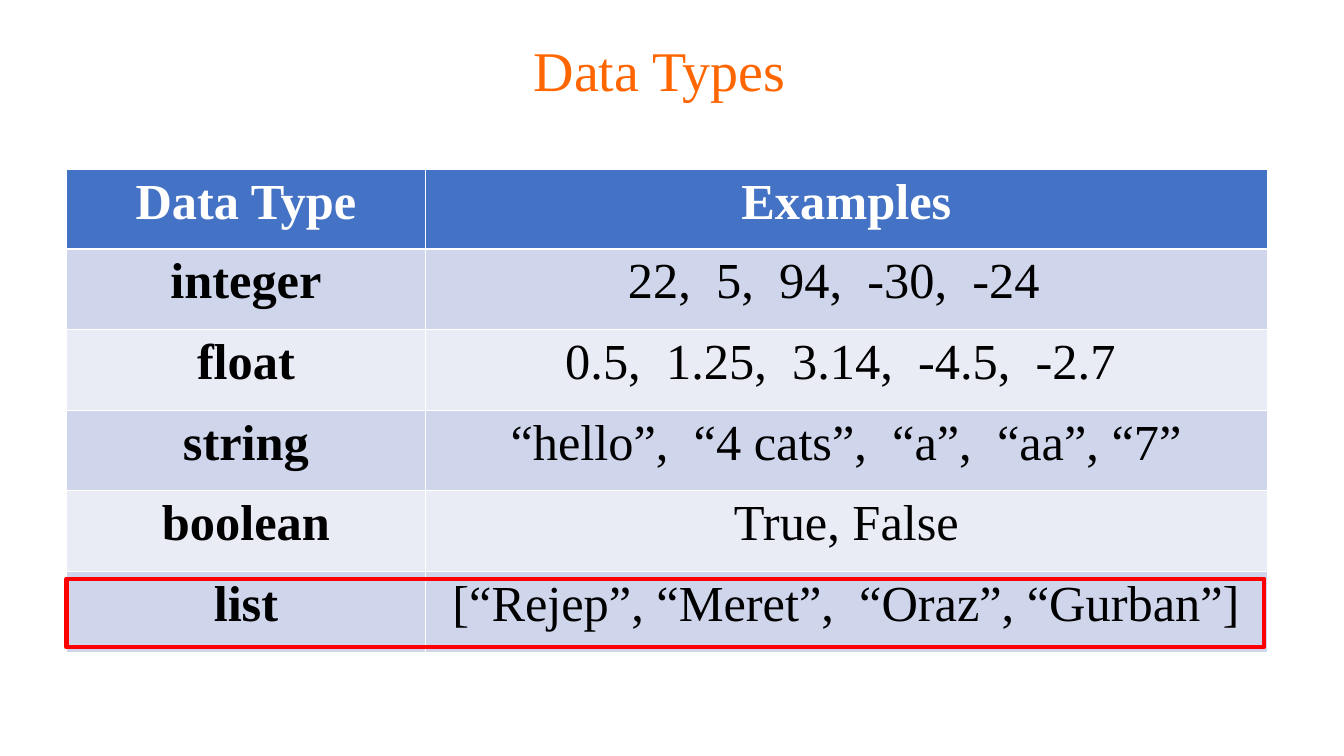
from dataclasses import dataclass

from pptx import Presentation
from pptx import util as u
from pptx.dml.color import RGBColor
from pptx.enum import shapes, text

EMU_PER_PX = 9144
FONT = "Times New Roman"
HEADER_FILL = "4472C4"
BAND_FILLS = ("CFD5EA", "E9EBF5")
COLUMN_WIDTHS = (356, 835)
HEADER_HEIGHT = 79
ROW_HEIGHT = 80
CELL_MARGIN = 10


@dataclass
class TypeRow:
    name: str
    examples: str
    right_inset: int = CELL_MARGIN


HEADER = TypeRow("Data Type", "Examples")
TYPE_ROWS = [
    TypeRow("integer", "22,  5,  94,  -30,  -24", 35),
    TypeRow("float", "0.5,  1.25,  3.14,  -4.5,  -2.7", 22),
    TypeRow("string", "“hello”,  “4 cats”,  “a”,  “aa”, “7”"),
    TypeRow("boolean", "True, False"),
    TypeRow("list", "[“Rejep”, “Meret”,  “Oraz”, “Gurban”]"),
]


def px(length: int) -> u.Emu:
    return u.Emu(length * EMU_PER_PX)


def color(value: str) -> RGBColor:
    return RGBColor.from_string(value)


def write(frame, words: str, *, size: int = 36, fill: str = "000000",
          bold: bool = False, spacing: float = 1.0) -> None:
    para = frame.paragraphs[0]
    para.alignment = text.PP_ALIGN.CENTER
    para.line_spacing = spacing
    span = para.add_run()
    span.text = words
    span.font.name = FONT
    span.font.size = u.Pt(size)
    span.font.bold = bold
    span.font.color.rgb = color(fill)


def add_title(page) -> None:
    title = page.shapes.title
    title.left, title.top, title.width, title.height = map(px, (79, 0, 1150, 145))
    title.text_frame.vertical_anchor = text.MSO_ANCHOR.MIDDLE
    write(title.text_frame, "Data Types", size=40, fill="FF6600", spacing=0.9)


def fill_row(table, index: int, row: TypeRow) -> None:
    is_header = index == 0
    table.rows[index].height = px(HEADER_HEIGHT if is_header else ROW_HEIGHT)
    background = HEADER_FILL if is_header else BAND_FILLS[(index - 1) % 2]
    for column, words in enumerate((row.name, row.examples)):
        cell = table.cell(index, column)
        cell.fill.solid()
        cell.fill.fore_color.rgb = color(background)
        cell.margin_right = px(row.right_inset if column else CELL_MARGIN)
        write(cell.text_frame, words, bold=is_header or column == 0,
              fill="FFFFFF" if is_header else "000000")


def add_types_table(page) -> None:
    rows = [HEADER, *TYPE_ROWS]
    height = HEADER_HEIGHT + ROW_HEIGHT * len(TYPE_ROWS)
    table = page.shapes.add_table(
        len(rows), len(COLUMN_WIDTHS),
        px(66), px(168), px(sum(COLUMN_WIDTHS)), px(height)).table
    for column, width in zip(table.columns, COLUMN_WIDTHS):
        column.width = px(width)
    for index, row in enumerate(rows):
        fill_row(table, index, row)


def add_list_highlight(page) -> None:
    box = page.shapes.add_shape(
        shapes.MSO_SHAPE.RECTANGLE, px(66), px(574), px(1188), px(68))
    box.shadow.inherit = False
    box.fill.background()
    box.line.color.rgb = color("FF0000")
    box.line.width = u.Pt(3)


def main() -> None:
    deck = Presentation()
    deck.slide_width, deck.slide_height = px(1333), px(750)
    page = deck.slides.add_slide(deck.slide_layouts.get_by_name("Title Only"))
    add_title(page)
    add_types_table(page)
    add_list_highlight(page)
    deck.save("out.pptx")


if __name__ == "__main__":
    main()
